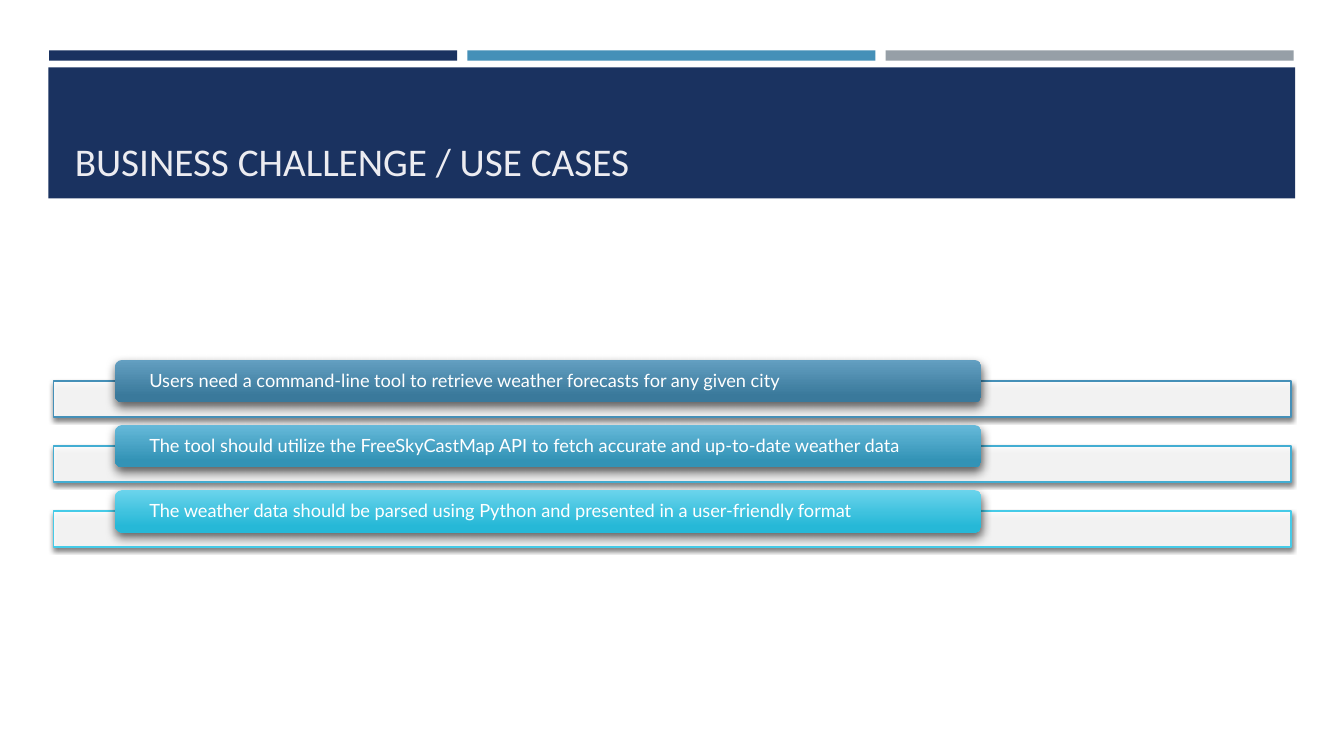
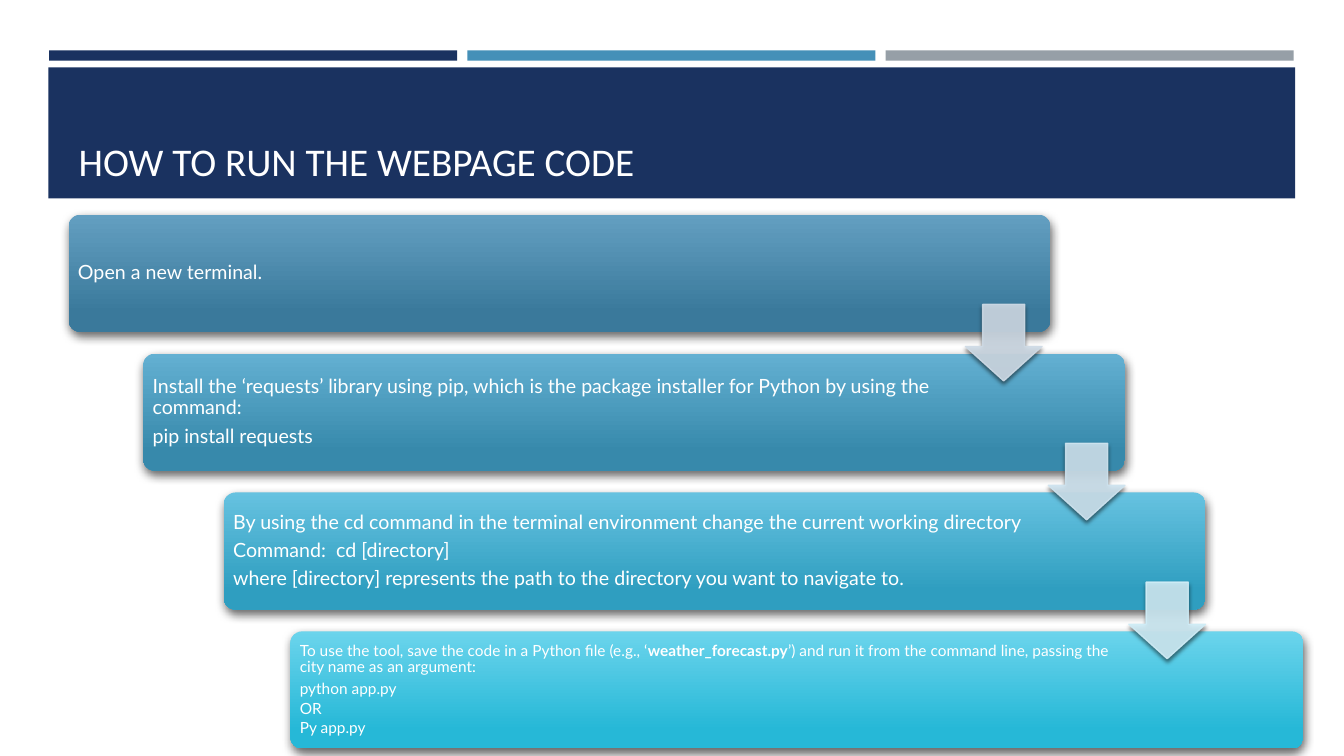
from lxml import etree
from pptx import Presentation
from pptx import util as u
from pptx.dml import color as dml
from pptx.enum import shapes, text
from pptx.oxml import ns

NAVY, BLUE, GREY, WHITE = "1A3260", "4590B8", "969FA7", "FFFFFF"
TITLE_FONT, BODY_FONT = "Calibri", "Lato"
SHAPE = shapes.MSO_SHAPE

# Shadow settings: opacity in percent, blur and distance in points, angle in degrees
SOFT_SHADOW = (55, 3, 2, 90)
DEEP_SHADOW = (60, 7, 3, 84)

USE_CASES = [
    ("Users need a command-line tool to retrieve weather forecasts for any given city",
     "4590B8", ("639FC1", "3A799B")),
    ("The tool should utilize the FreeSkyCastMap API to fetch accurate and up-to-date weather data",
     "43ADD2", ("65B9D9", "3393B6")),
    ("The weather data should be parsed using Python and presented in a user-friendly format",
     "45CBE8", ("6BD4EC", "26B8D7")),
]

# Each step: left, width, right margin, font size, gradient, paragraphs (*bold*)
STEPS = [
    (0, 24.74, 3.45, 14, ("639FC1", "3A799B"), ["Open a new terminal."]),
    (1.88, 24.74, 4.17, 14, ("63B0D2", "3789AB"), [
        "Install the ‘requests’ library using pip, which is the package installer "
        "for Python by using the command:",
        "pip install requests"]),
    (3.91, 24.74, 4.14, 14, ("66C2E0", "2F9EC0"), [
        "By using the cd command in the terminal environment change the current working directory",
        "Command:  cd [directory]",
        "where [directory] represents the path to the directory you want to navigate to."]),
    (5.59, 25.53, 4.27, 11, ("6BD4EC", "26B8D7"), [
        "To use the tool, save the code in a Python file (e.g., ‘*weather_forecast.py*’) "
        "and run it from the command line, passing the city name as an argument:",
        "python app.py", "OR", "Py app.py"]),
]
# Each arrow: left, colour
ARROWS = [(22.6, "CFDBE6"), (24.69, "CEE3EF"), (26.72, "CFECF6")]


def rgb(value):
    return dml.RGBColor.from_string(value)


def add_alpha(colour, percent):
    etree.SubElement(colour, ns.qn("a:alpha"), val=str(percent * 1000))


def fade(shape, *fills):
    """Make the named solid fills of a shape 90 % opaque."""
    for fill in fills:
        add_alpha(shape.element.spPr.find(fill + "/a:srgbClr", ns.nsmap("a") if callable(
            getattr(ns, "nsmap", None)) else ns.nsmap), 90)


def cast_shadow(shape, opacity, blur, distance, angle):
    effects = shape.element.spPr.find(ns.qn("a:effectLst"))
    shadow = etree.SubElement(
        effects, ns.qn("a:outerShdw"), blurRad=str(u.Pt(blur)), dist=str(u.Pt(distance)),
        dir=str(angle * 60000), algn="ctr", rotWithShape="0")
    add_alpha(etree.SubElement(shadow, ns.qn("a:srgbClr"), val="000000"), opacity)


def add_box(page, kind, left, top, width, height, fill, line=None):
    """Add a shape; a pair of colours as fill gives a vertical gradient."""
    box = page.shapes.add_shape(kind, u.Cm(left), u.Cm(top), u.Cm(width), u.Cm(height))
    box.shadow.inherit = False
    if isinstance(fill, tuple):
        box.fill.gradient()
        box.fill.gradient_angle = 270
        for stop, colour, position in zip(box.fill.gradient_stops, fill, (0, 0.84)):
            stop.color.rgb = rgb(colour)
            stop.position = position
    else:
        box.fill.solid()
        box.fill.fore_color.rgb = rgb(fill)
    if line:
        box.line.color.rgb = rgb(line)
        box.line.width = u.Pt(1)
    else:
        box.line.fill.background()
    return box


def write(box, lines, size, margins, gaps):
    """Fill a box with paragraphs; gaps are the space after the first and the others."""
    frame = box.text_frame
    frame.word_wrap = True
    frame.vertical_anchor = text.MSO_ANCHOR.MIDDLE
    (frame.margin_left, frame.margin_top,
     frame.margin_right, frame.margin_bottom) = (u.Cm(margin) for margin in margins)
    for index, line in enumerate(lines):
        para = frame.add_paragraph() if index else frame.paragraphs[0]
        para.alignment = text.PP_ALIGN.LEFT
        para.line_spacing = 0.9
        para.space_after = u.Pt(gaps[min(index, 1)])
        for part, words in enumerate(line.split("*")):
            span = para.add_run()
            span.text = words
            span.font.name = BODY_FONT
            span.font.size = u.Pt(size)
            span.font.bold = part % 2 == 1
            span.font.color.rgb = rgb(WHITE)


def add_bands(layout, page):
    """Draw the shared bands and move them to the back of the layout."""
    bands = [add_box(page, SHAPE.RECTANGLE, 1.24 + 10.54 * column, 1.27, 10.28, 0.26, colour)
             for column, colour in enumerate((NAVY, BLUE, GREY))]
    bands.append(add_box(page, SHAPE.RECTANGLE, 1.22, 1.7, 31.42, 3.3, NAVY))
    for index, band in enumerate(bands):
        band.element.nvSpPr.cNvPr.set("id", str(101 + index))
        layout.shapes.element.insert(2 + index, band.element)


def set_title(page, words, left, top, width, height, colour):
    title = page.shapes.title
    title.left, title.top, title.width, title.height = map(u.Cm, (left, top, width, height))
    frame = title.text_frame
    frame.text = words
    frame.auto_size = text.MSO_AUTO_SIZE.NONE
    frame.vertical_anchor = text.MSO_ANCHOR.BOTTOM
    para = frame.paragraphs[0]
    para.alignment = text.PP_ALIGN.LEFT
    font = para.runs[0].font
    font.name, font.size, font.color.rgb = TITLE_FONT, u.Pt(28), rgb(colour)


def add_use_cases(page, left, top, width):
    """Stack of outlined bars, each with a raised label."""
    for row, (words, line, gradient) in enumerate(USE_CASES):
        label_top = top + 1.64 * row
        bar = add_box(page, SHAPE.RECTANGLE, left, label_top + 0.53, width, 0.91, WHITE, line)
        fade(bar, "a:solidFill")
        cast_shadow(bar, *SOFT_SHADOW)
        label = add_box(page, SHAPE.ROUNDED_RECTANGLE, left + 1.55, label_top,
                        width * 0.7, 1.07, gradient)
        cast_shadow(label, *DEEP_SHADOW)
        write(label, [words], 13, (0.81, 0, 0.81, 0), (5, 5))


def add_steps(page, left, top):
    """Staircase of step boxes, with arrows leading down from each to the next."""
    pitch = 3.5
    for row, (indent, width, right, size, gradient, lines) in enumerate(STEPS):
        step = add_box(page, SHAPE.ROUNDED_RECTANGLE, left + indent, top + pitch * row,
                       width, 2.95, gradient)
        step.adjustments[0] = 0.1
        cast_shadow(step, *DEEP_SHADOW)
        gaps = (5, 5) if size == 14 else (4, 2)
        write(step, lines, size, (0.15, 0.15, right, 0.15), gaps)
    for row, (indent, colour) in enumerate(ARROWS):
        arrow = add_box(page, SHAPE.DOWN_ARROW, left + indent, top + 2.26 + pitch * row,
                        1.93, 1.93, colour, colour)
        arrow.adjustments[0], arrow.adjustments[1] = 0.55, 0.45
        fade(arrow, "a:solidFill", "a:ln/a:solidFill")
        cast_shadow(arrow, *SOFT_SHADOW)


def main():
    deck = Presentation()
    deck.slide_width, deck.slide_height = u.Cm(33.87), u.Cm(19.05)
    layout = deck.slide_layouts[5]

    # Business challenge
    page = deck.slides.add_slide(layout)
    add_bands(layout, page)
    set_title(page, "BUSINESS CHALLENGE / USE CASES", 1.63, 1.96, 30.63, 2.82, "ECECF1")
    add_use_cases(page, 1.35, 9.07, 31.19)

    # Running the code
    page = deck.slides.add_slide(layout)
    set_title(page, "HOW TO RUN THE WEBPAGE CODE", 1.73, 2.03, 30.53, 2.74, WHITE)
    add_steps(page, 1.73, 5.41)

    deck.save("out.pptx")


if __name__ == "__main__":
    main()
